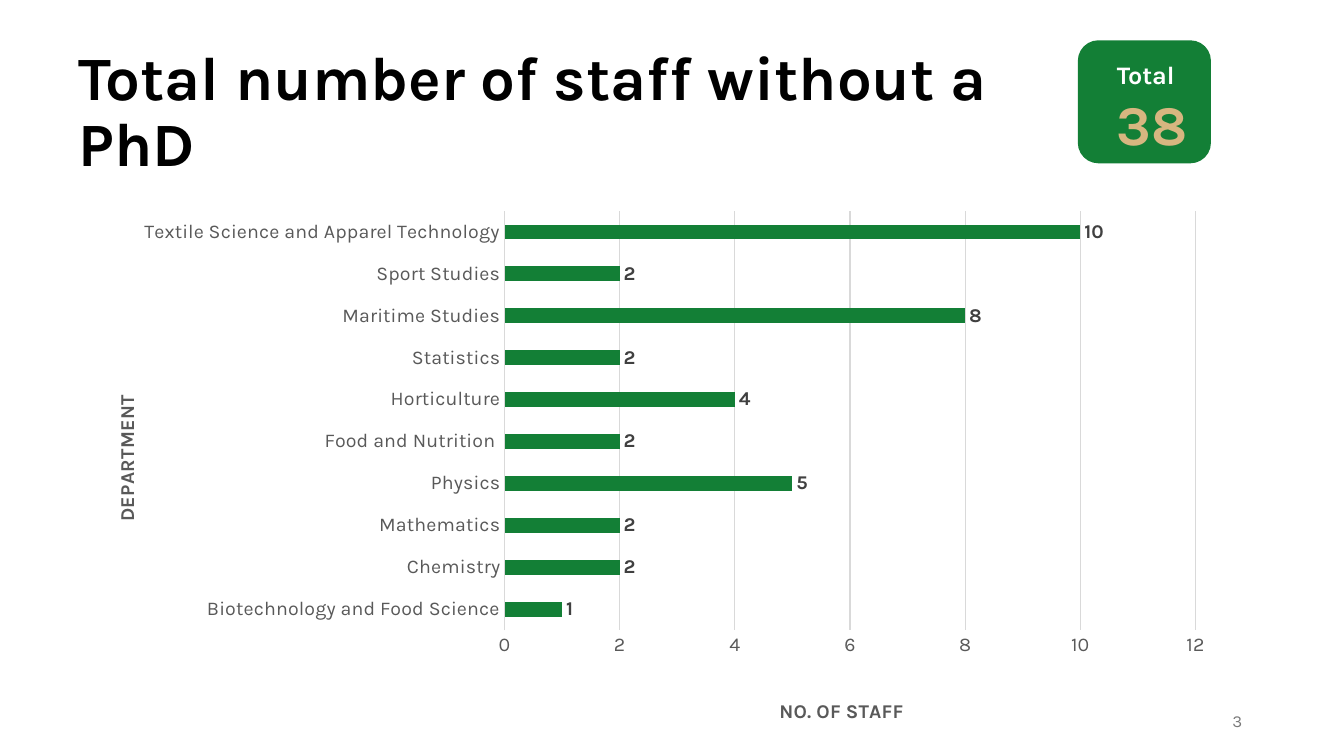
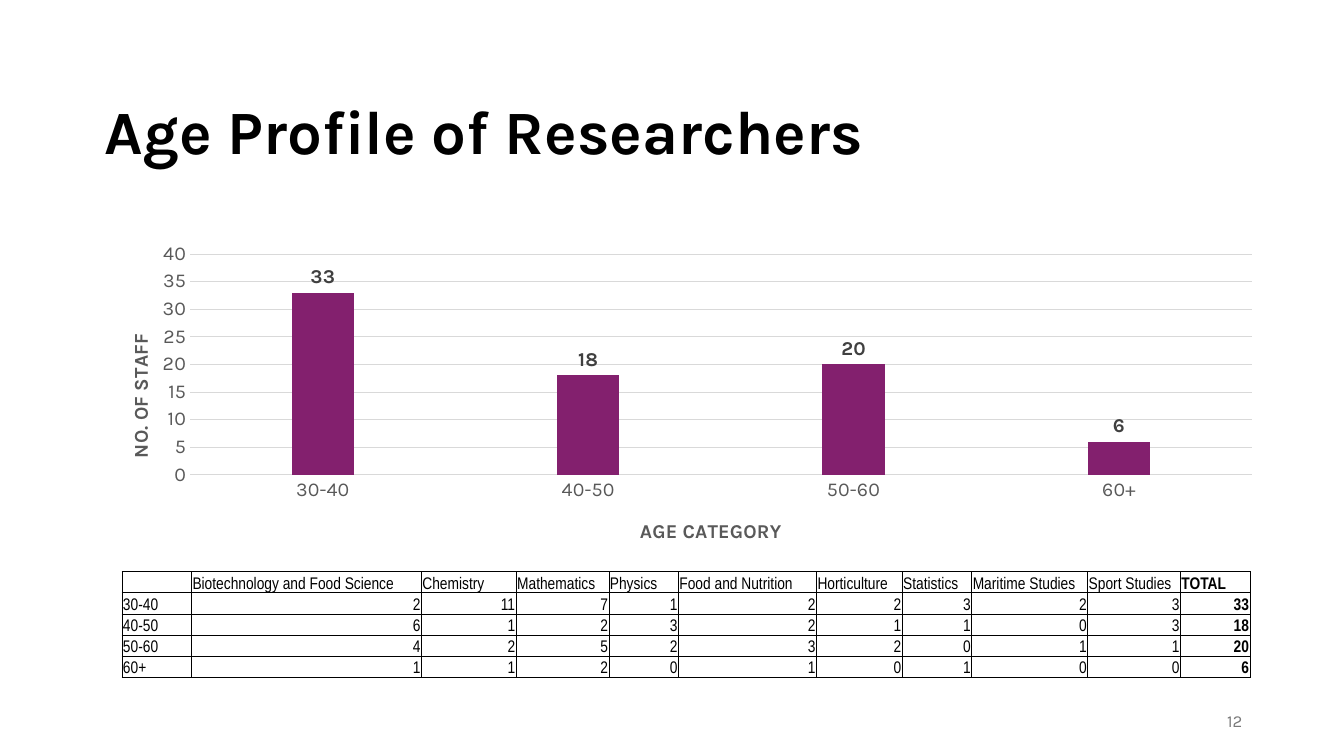
from dataclasses import dataclass

from lxml.etree import SubElement
from pptx import Presentation
from pptx.chart.data import CategoryChartData
from pptx.dml.color import RGBColor
from pptx.enum.chart import XL_CHART_TYPE, XL_LABEL_POSITION, XL_TICK_MARK
from pptx.enum.shapes import MSO_SHAPE
from pptx.enum.text import MSO_ANCHOR, PP_ALIGN
from pptx.oxml.ns import qn
from pptx.util import Inches, Pt

# Shared style
FONT, TABLE_FONT = "Karla", "Arial Narrow"
BLACK, WHITE = "000000", "FFFFFF"
GREEN, PURPLE, GOLD = "137F36", "83206E", "D7B680"
AXIS_TEXT, LABEL_TEXT, GRID, PAGE_TEXT = "595959", "404040", "D9D9D9", "797979"

Box = tuple[float, float, float, float]


@dataclass
class AxisTitle:
    text: str
    x: float  # fraction of the chart width
    y: float  # fraction of the chart height
    upright: bool = False


@dataclass
class BarChart:
    kind: XL_CHART_TYPE
    box: Box
    plot: Box  # inner plot area, as fractions of the chart
    values: dict[str, int]
    color: str
    gap: int
    overlap: int
    maximum: int
    step: int
    category_title: AxisTitle
    value_title: AxisTitle


STAFF_CHART = BarChart(
    XL_CHART_TYPE.BAR_CLUSTERED, (0.68, 1.99, 11.5, 5.25), (0.376, 0.02, 0.596, 0.801),
    {
        "Biotechnology and Food Science": 1,
        "Chemistry": 2,
        "Mathematics": 2,
        "Physics": 5,
        "Food and Nutrition ": 2,
        "Horticulture": 4,
        "Statistics": 2,
        "Maritime Studies": 8,
        "Sport Studies": 2,
        "Textile Science and Apparel Technology": 10,
    },
    GREEN, 182, 0, 12, 2,
    AxisTitle("DEPARTMENT", 0.036, 0.367, upright=True),
    AxisTitle("NO. OF STAFF", 0.61, 0.945),
)

AGE_COLUMNS = {
    "": 0.69, "Biotechnology and Food Science": 2.28, "Chemistry": 0.94,
    "Mathematics": 0.92, "Physics": 0.69, "Food and Nutrition": 1.37,
    "Horticulture": 0.85, "Statistics": 0.69, "Maritime Studies": 1.15,
    "Sport Studies": 0.92, "TOTAL": 0.69,
}
AGE_ROWS = {
    "30-40": [2, 11, 7, 1, 2, 2, 3, 2, 3, 33],
    "40-50": [6, 1, 2, 3, 2, 1, 1, 0, 3, 18],
    "50-60": [4, 2, 5, 2, 3, 2, 0, 1, 1, 20],
    "60+": [1, 1, 2, 0, 1, 0, 1, 0, 0, 6],
}
AGE_CHART = BarChart(
    XL_CHART_TYPE.COLUMN_CLUSTERED, (0.92, 2.14, 11.5, 3.31), (0.084, 0.115, 0.916, 0.662),
    {age: counts[-1] for age, counts in AGE_ROWS.items()},
    PURPLE, 325, -27, 40, 5,
    AxisTitle("AGE CATEGORY", 0.469, 0.895),
    AxisTitle("NO. OF STAFF", 0.027, 0.343, upright=True),
)


def rgb(color: str) -> RGBColor:
    return RGBColor.from_string(color)


def inches(box: Box) -> list[Inches]:
    return [Inches(v) for v in box]


def set_font(font, size: float, color: str, bold: bool = False, name: str = FONT) -> None:
    font.name, font.size, font.bold = name, Pt(size), bold
    font.color.rgb = rgb(color)


def add_run(p, text: str, size: float, color: str, bold: bool = False, name: str = FONT) -> None:
    r = p.add_run()
    r.text = text
    set_font(r.font, size, color, bold, name)


def add_text_box(s, box: Box, anchor: MSO_ANCHOR = MSO_ANCHOR.TOP):
    tf = s.shapes.add_textbox(*inches(box)).text_frame
    tf.word_wrap = True
    tf.vertical_anchor = anchor
    return tf


def add_slide(prs, title: str, title_box: Box, number: int):
    s = prs.slides.add_slide(prs.slide_layouts[6])
    p = add_text_box(s, title_box, MSO_ANCHOR.MIDDLE).paragraphs[0]
    p.line_spacing = 0.9
    add_run(p, title, 44, BLACK, bold=True)
    # Page number
    p = add_text_box(s, (9.42, 6.95, 3, 0.4), MSO_ANCHOR.MIDDLE).paragraphs[0]
    p.alignment = PP_ALIGN.RIGHT
    add_run(p, str(number), 12, PAGE_TEXT)
    return s


def set_layout(parent, index: int, **settings) -> None:
    """Place a chart part by fractions of the chart area."""
    for old in parent.findall(qn("c:layout")):
        parent.remove(old)
    layout = SubElement(parent, qn("c:layout"))
    parent.insert(index, layout)
    manual = SubElement(layout, qn("c:manualLayout"))
    for tag, value in settings.items():
        SubElement(manual, qn(f"c:{tag}")).set("val", str(value))


def style_axis(axis, title: AxisTitle) -> None:
    axis.major_tick_mark = axis.minor_tick_mark = XL_TICK_MARK.NONE
    set_font(axis.tick_labels.font, 14, AXIS_TEXT)
    tf = axis.axis_title.text_frame
    add_run(tf.paragraphs[0], title.text, 14, AXIS_TEXT, bold=True)
    body = tf._txBody.find(qn("a:bodyPr"))
    body.set("rot", "-5400000" if title.upright else "0")
    body.set("vert", "horz")
    set_layout(axis.axis_title._element, 1, xMode="edge", yMode="edge", x=title.x, y=title.y)


def add_bar_chart(s, spec_: BarChart) -> None:
    data = CategoryChartData()
    data.categories = list(spec_.values)
    data.add_series("Series 1", list(spec_.values.values()))
    chart = s.shapes.add_chart(spec_.kind, *inches(spec_.box), data).chart
    chart.has_legend = chart.has_title = False
    set_font(chart.font, 14, BLACK)

    # Axes
    cat, val = chart.category_axis, chart.value_axis
    style_axis(cat, spec_.category_title)
    style_axis(val, spec_.value_title)
    val.minimum_scale, val.maximum_scale, val.major_unit = 0, spec_.maximum, spec_.step
    val.has_major_gridlines = True
    for line in (cat.format.line, val.major_gridlines.format.line):
        line.color.rgb = rgb(GRID)
        line.width = Pt(0.75)
    val.format.line.fill.background()

    # Bars and labels
    plot = chart.plots[0]
    plot.vary_by_categories = False
    plot.gap_width, plot.overlap = spec_.gap, spec_.overlap
    fill = plot.series[0].format.fill
    fill.solid()
    fill.fore_color.rgb = rgb(spec_.color)
    plot.has_data_labels = True
    labels = plot.data_labels
    labels.show_value = True
    labels.position = XL_LABEL_POSITION.OUTSIDE_END
    set_font(labels.font, 14, LABEL_TEXT, bold=True)

    x, y, w, h = spec_.plot
    set_layout(chart._chartSpace.find(".//" + qn("c:plotArea")), 0, layoutTarget="inner",
               xMode="edge", yMode="edge", x=x, y=y, w=w, h=h)


def add_total_badge(s, total: int) -> None:
    sp = s.shapes.add_shape(MSO_SHAPE.ROUNDED_RECTANGLE, *inches((10.69, 0.4, 1.32, 1.22)))
    sp.shadow.inherit = False
    sp.fill.solid()
    sp.fill.fore_color.rgb = rgb(GREEN)
    sp.line.fill.background()
    tf = add_text_box(s, (10.98, 0.54, 1.2, 1.08))
    add_run(tf.paragraphs[0], "Total", 18, WHITE, bold=True)
    add_run(tf.add_paragraph(), str(total), 40, GOLD, bold=True)


def set_borders(cell) -> None:
    tc_pr = cell._tc.get_or_add_tcPr()
    for i, side in enumerate(("lnL", "lnR", "lnT", "lnB")):
        ln = SubElement(tc_pr, qn(f"a:{side}"), w=str(Pt(0.5)))
        tc_pr.insert(i, ln)
        SubElement(SubElement(ln, qn("a:solidFill")), qn("a:srgbClr"), val=BLACK)


def add_age_table(s) -> None:
    rows = [list(AGE_COLUMNS)] + [[age, *counts] for age, counts in AGE_ROWS.items()]
    n_rows, n_cols, row_h = len(rows), len(AGE_COLUMNS), 0.21
    box = (1.21, 5.67, sum(AGE_COLUMNS.values()), n_rows * row_h)
    table = s.shapes.add_table(n_rows, n_cols, *inches(box)).table
    table.first_row = table.horz_banding = False
    for column, width in zip(table.columns, AGE_COLUMNS.values()):
        column.width = Inches(width)
    for i, row in enumerate(rows):
        table.rows[i].height = Inches(row_h)
        for j, value in enumerate(row):
            cell = table.cell(i, j)
            cell.fill.background()
            set_borders(cell)
            cell.margin_left = cell.margin_right = cell.margin_top = Inches(0.01)
            cell.margin_bottom = 0
            cell.vertical_anchor = MSO_ANCHOR.BOTTOM
            p = cell.text_frame.paragraphs[0]
            if value == "":
                SubElement(p._p, qn("a:endParaRPr"), sz="1200")
                continue
            if isinstance(value, int):
                p.alignment = PP_ALIGN.RIGHT
            add_run(p, str(value), 12, BLACK, bold=j == n_cols - 1, name=TABLE_FONT)


def main() -> None:
    prs = Presentation()
    prs.slide_width, prs.slide_height = Inches(13.33), Inches(7.5)

    # Staff without a PhD
    s = add_slide(prs, "Total number of staff without a PhD", (0.68, 0.4, 9.47, 1.45), 3)
    add_bar_chart(s, STAFF_CHART)
    add_total_badge(s, sum(STAFF_CHART.values.values()))

    # Age profile
    s = add_slide(prs, "Age Profile of Researchers", (0.94, 0.61, 10.58, 1.45), 12)
    add_bar_chart(s, AGE_CHART)
    add_age_table(s)

    prs.save("out.pptx")


if __name__ == "__main__":
    main()
